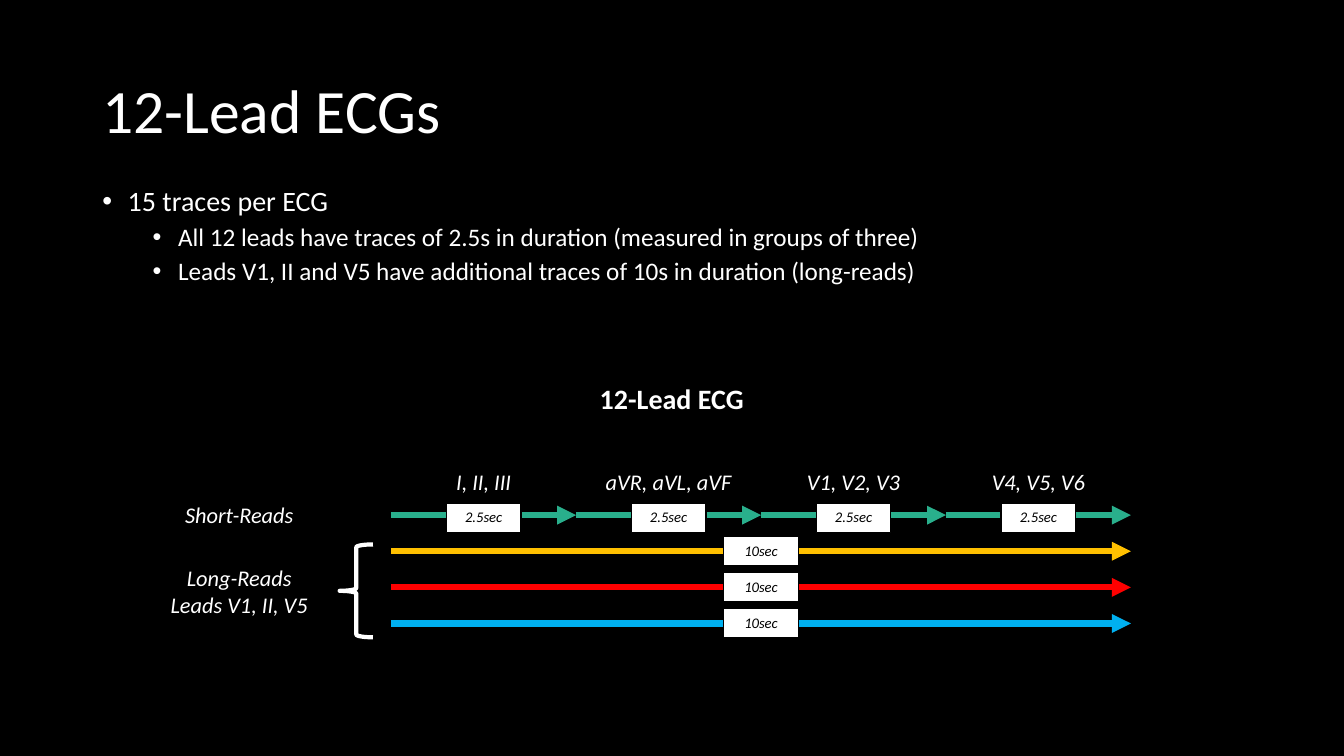
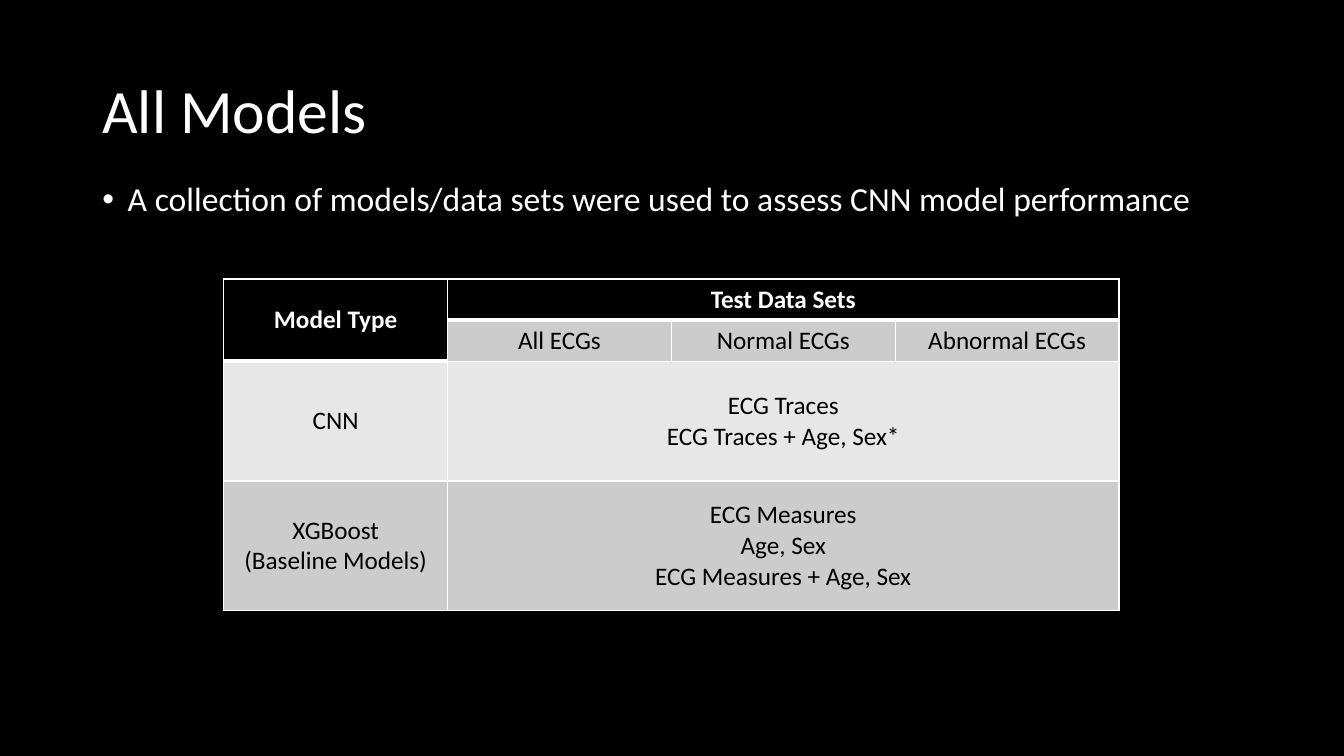
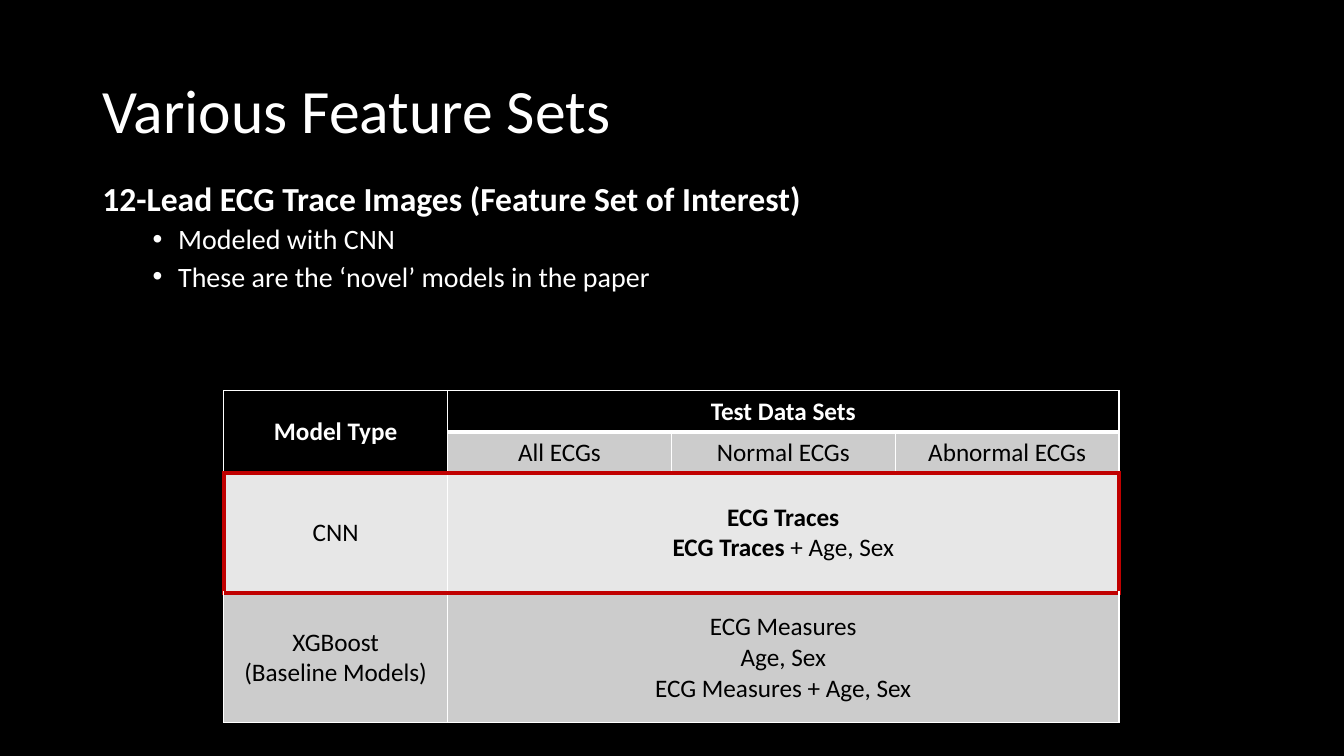
from itertools import product

from lxml import etree
from pptx import Presentation
from pptx import util as u
from pptx.dml import color
from pptx.enum import shapes, text
from pptx.oxml import ns

COLORS = {
    "black": "000000", "white": "FFFFFF", "green": "29AF8C", "amber": "FFC000",
    "red": "FF0000", "blue": "00B0F0", "dark_red": "C00000",
    "gray": "CCCCCC", "light_gray": "E7E7E7",
}
CENTER = {"alignment": text.PP_ALIGN.CENTER}
OUTLINE = {"line_spacing": 0.9}
BULLET_INDENT = 0.64
LEVEL_INDENTS = (0.64, 1.91)
LEVEL_SPACING = (10, 5)

LANE_LEFT, LANE_TOP, LANE_STEP = 9.86, 12.98, 0.91
READ_WIDTH = 4.66
LEAD_GROUPS = ("I, II, III", "aVR, aVL, aVF", "V1, V2, V3", "V4, V5, V6")
LONG_READS = ("amber", "red", "blue")

COLUMN_WIDTH = 5.64
ROW_HEIGHTS = (1.04, 1.03, 3.02, 3.27)
MODEL_ROW = 2
BASELINE = ["ECG Measures", "Age, Sex", "ECG Measures + Age, Sex"]


def rgb(name):
    return color.RGBColor.from_string(COLORS[name])


def box(*lengths):
    return [u.Cm(length) for length in lengths]


def apply(target, formats):
    for name, value in formats.items():
        setattr(target, name, value)


def add_xml(parent, tag, **attributes):
    return etree.SubElement(parent, ns.qn(tag), attributes)


def write_runs(paragraph, runs, size, ink="white", **font):
    if isinstance(runs, str):
        runs = [(runs, {})]
    for words, extra in runs:
        run = paragraph.add_run()
        run.text = words
        apply(run.font, {"name": "Calibri", "size": u.Pt(size), "bold": False, **font, **extra})
        run.font.color.rgb = rgb(ink)


def write_lines(frame, lines, size, layout=CENTER, **font):
    for index, runs in enumerate(lines):
        paragraph = frame.add_paragraph() if index else frame.paragraphs[0]
        apply(paragraph, layout)
        write_runs(paragraph, runs, size, **font)


def add_text(slide, place, lines, size, layout=CENTER, anchor=text.MSO_ANCHOR.TOP, **font):
    frame = slide.shapes.add_textbox(*box(*place)).text_frame
    apply(frame, {"word_wrap": True, "vertical_anchor": anchor})
    write_lines(frame, lines, size, layout, **font)
    return frame


def add_bullet(paragraph, level):
    properties = paragraph._p.get_or_add_pPr()
    properties.set("marL", str(u.Cm(LEVEL_INDENTS[level])))
    properties.set("indent", str(-u.Cm(BULLET_INDENT)))
    add_xml(properties, "a:buFont", typeface="Arial")
    add_xml(properties, "a:buChar", char="•")


def add_body(slide, top, items):
    frame = add_text(slide, (2.33, top, 29.21, 6), [], 24)
    for index, (words, level, size, bold) in enumerate(items):
        paragraph = frame.add_paragraph() if index else frame.paragraphs[0]
        apply(paragraph, {**OUTLINE, "space_before": u.Pt(LEVEL_SPACING[level])})
        if not bold:
            add_bullet(paragraph, level)
        write_runs(paragraph, words, size, bold=bold)


def add_titled_slide(presentation, title):
    slide = presentation.slides.add_slide(presentation.slide_layouts[6])
    slide.background.fill.solid()
    slide.background.fill.fore_color.rgb = rgb("black")
    add_text(slide, (2.33, 1.02, 29.21, 3.68), [title], 44, OUTLINE, text.MSO_ANCHOR.MIDDLE)
    return slide


def add_arrow(slide, left, y, width, ink):
    arrow = slide.shapes.add_connector(
        shapes.MSO_CONNECTOR.STRAIGHT, *box(left, y, left + width, y))
    arrow.line.width = u.Pt(4.5)
    arrow.line.color.rgb = rgb(ink)
    add_xml(arrow.line._get_or_add_ln(), "a:tailEnd", type="triangle")
    add_xml(arrow._element.spPr, "a:effectLst")


def add_duration(slide, center, middle, words):
    width, height = 1.88, 0.74
    tag = slide.shapes.add_shape(
        shapes.MSO_SHAPE.RECTANGLE, *box(center - width / 2, middle - height / 2, width, height))
    tag.shadow.inherit = False
    tag.fill.solid()
    tag.fill.fore_color.rgb = rgb("white")
    tag.line.color.rgb = rgb("black")
    tag.line.width = u.Pt(1)
    tag.text_frame.vertical_anchor = text.MSO_ANCHOR.TOP
    write_lines(tag.text_frame, [words], 10.5, ink="black", italic=True)


def add_brace(slide, *place):
    brace = slide.shapes.add_shape(shapes.MSO_SHAPE.LEFT_BRACE, *box(*place))
    brace.shadow.inherit = False
    brace.fill.background()
    brace.line.color.rgb = rgb("white")
    brace.line.width = u.Pt(3)


def add_lead_diagram(slide):
    add_text(slide, (14.63, 9.5, 4.6, 1.12), ["12-Lead ECG"], 20, bold=True)
    for index, leads in enumerate(LEAD_GROUPS):
        left = LANE_LEFT + index * READ_WIDTH
        center = left + READ_WIDTH / 2
        add_arrow(slide, left, LANE_TOP, READ_WIDTH, "green")
        add_duration(slide, center, LANE_TOP + 0.07, "2.5sec")
        add_text(slide, (center - 1.93, 11.66, 3.86, 0.94), [leads], 16, italic=True)
    total = READ_WIDTH * len(LEAD_GROUPS)
    for index, ink in enumerate(LONG_READS, 1):
        y = LANE_TOP + index * LANE_STEP
        add_arrow(slide, LANE_LEFT, y, total, ink)
        add_duration(slide, LANE_LEFT + total / 2, y, "10sec")
    add_brace(slide, 8.56, 13.72, 0.84, 2.34)
    add_text(slide, (3.73, 12.5, 4.6, 0.94), ["Short-Reads"], 16, italic=True)
    add_text(slide, (3.73, 14.1, 4.6, 1.63), ["Long-Reads", "Leads V1, II, V5"], 16, italic=True)


def draw_borders(cell, borders):
    properties = cell._tc.get_or_add_tcPr()
    for side in "LRTB":
        ink, width = borders[side]
        line = add_xml(properties, f"a:ln{side}", w=str(u.Pt(width)))
        add_xml(add_xml(line, "a:solidFill"), "a:srgbClr", val=COLORS[ink])


def region_borders(top, left, bottom, right, highlight):
    borders = dict.fromkeys("LRTB", ("white", 1))
    accent = ("dark_red", 3)
    for side, edge in (("T", top), ("B", bottom)):
        if highlight and edge in (MODEL_ROW, MODEL_ROW + 1):
            borders[side] = accent
        elif edge == 1 or (edge == 2 and left == 0):
            borders[side] = ("white", 3)
    if highlight and top == MODEL_ROW:
        for side, outer in (("L", left == 0), ("R", right == 4)):
            if outer:
                borders[side] = accent
    return borders


def add_model_table(slide, top, traces, highlight=False):
    table = slide.shapes.add_table(4, 4, *box(5.64, top, 4 * COLUMN_WIDTH, sum(ROW_HEIGHTS))).table
    apply(table, {"first_row": False, "horz_banding": False})
    for column in table.columns:
        column.width = u.Cm(COLUMN_WIDTH)
    for row, height in zip(table.rows, ROW_HEIGHTS):
        row.height = u.Cm(height)
    regions = [
        (0, 0, 2, 1, "black", ["Model Type"]),
        (0, 1, 1, 4, "black", ["Test Data Sets"]),
        (1, 1, 2, 2, "gray", ["All ECGs"]),
        (1, 2, 2, 3, "gray", ["Normal ECGs"]),
        (1, 3, 2, 4, "gray", ["Abnormal ECGs"]),
        (2, 0, 3, 1, "light_gray", ["CNN"]),
        (2, 1, 3, 4, "light_gray", traces),
        (3, 0, 4, 1, "gray", ["XGBoost", "(Baseline Models)"]),
        (3, 1, 4, 4, "gray", BASELINE),
    ]
    for first_row, left, bottom, right, fill, lines in regions:
        borders = region_borders(first_row, left, bottom, right, highlight)
        for row, column in product(range(first_row, bottom), range(left, right)):
            cell = table.cell(row, column)
            draw_borders(cell, borders)
            cell.fill.solid()
            cell.fill.fore_color.rgb = rgb(fill)
        origin = table.cell(first_row, left)
        if (bottom - first_row) * (right - left) > 1:
            origin.merge(table.cell(bottom - 1, right - 1))
        origin.vertical_anchor = text.MSO_ANCHOR.MIDDLE
        header = fill == "black"
        write_lines(origin.text_frame, lines, 18, ink="white" if header else "black", bold=header)


def main():
    presentation = Presentation()
    apply(presentation, {"slide_width": u.Cm(33.87), "slide_height": u.Cm(19.05)})

    slide = add_titled_slide(presentation, "12-Lead ECGs")
    add_body(slide, 4.6, [
        ("15 traces per ECG", 0, 20, False),
        ("All 12 leads have traces of 2.5s in duration (measured in groups of three)", 1, 18, False),
        ("Leads V1, II and V5 have additional traces of 10s in duration (long-reads)", 1, 18, False),
    ])
    add_lead_diagram(slide)

    slide = add_titled_slide(presentation, "All Models")
    add_model_table(slide, 7.03, ["ECG Traces", "ECG Traces + Age, Sex*"])
    add_body(slide, 4.47, [
        ("A collection of models/data sets were used to assess CNN model performance", 0, 24, False),
    ])

    slide = add_titled_slide(presentation, "Various Feature Sets")
    traces = ("ECG Traces", {"bold": True})
    add_model_table(slide, 9.85, [[traces], [traces, (" + Age, Sex", {})]], highlight=True)
    add_body(slide, 4.47, [
        ("12-Lead ECG Trace Images (Feature Set of Interest)", 0, 24, True),
        ("Modeled with CNN", 1, 20, False),
        ("These are the ‘novel’ models in the paper", 1, 20, False),
    ])

    presentation.save("out.pptx")


if __name__ == "__main__":
    main()
